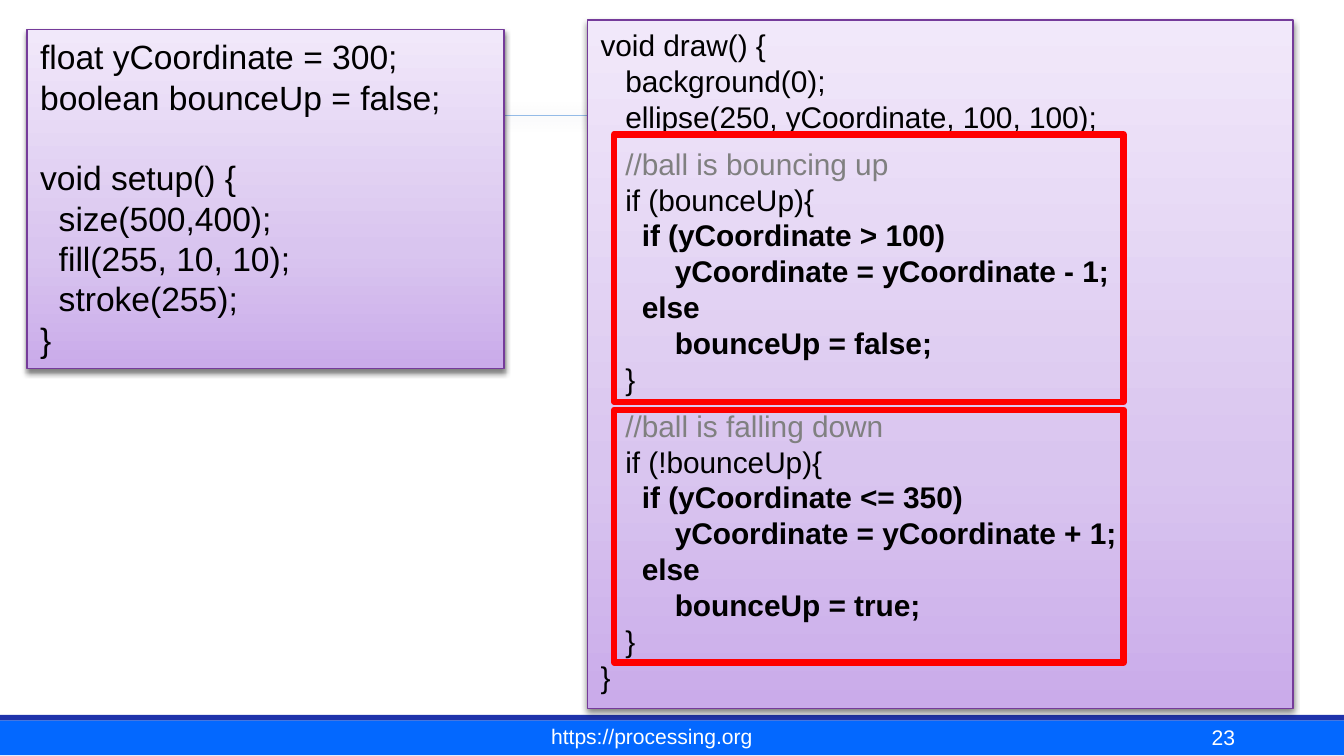
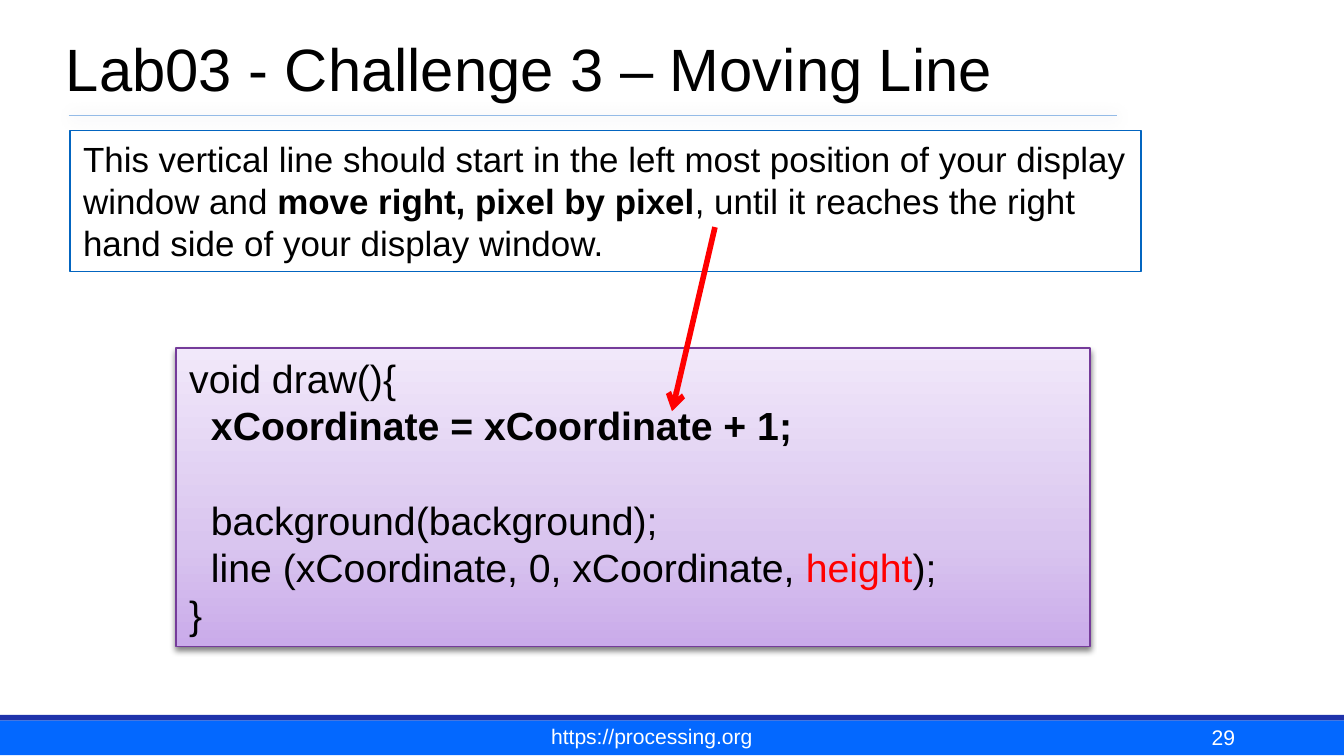
from copy import deepcopy

from lxml.etree import SubElement
from pptx import Presentation
from pptx.dml.color import RGBColor
from pptx.enum.shapes import MSO_CONNECTOR, MSO_SHAPE
from pptx.enum.text import MSO_ANCHOR, MSO_AUTO_SIZE, PP_ALIGN
from pptx.oxml.ns import qn
from pptx.util import Inches, Pt

COLORS = {
    "text": "000000", "comment": "808080", "accent": "FF0000", "white": "FFFFFF",
    "band": "0368FF", "band_edge": "1F33AB", "rule": "94BBE7", "rule_shadow": "003D62",
    "code_dark": "CAABEA", "code_mid": "D9C5EF", "code_light": "F1E8FA",
    "code_border": "753B9A", "task_border": "0365C0",
}
FONT = "Arial"
LINE_PITCH = 1.2

# Shadows: colour, opacity %, blur pt, distance pt, direction in degrees
CODE_SHADOW = ("text", 50, 3, 2, 90)
RULE_SHADOW = ("rule_shadow", 20, 8, 1, 45)

# A number in a listing is the type size of a blank line before the next line
SETUP_CODE = [
    "float yCoordinate = 300;",
    "boolean bounceUp = false;",
    18,
    "void setup() {",
    "  size(500,400);",
    "  fill(255, 10, 10);",
    "  stroke(255);",
    "}",
]
BOUNCE_CODE = [
    "void draw() {",
    "   background(0);",
    "   ellipse(250, yCoordinate, 100, 100);",
    5,
    [("   //ball is bouncing up", "comment")],
    "   if (bounceUp){",
    [("     if (yCoordinate > 100)", "bold")],
    [("         yCoordinate = yCoordinate - 1;", "bold")],
    [("     else", "bold")],
    [("         bounceUp = false;", "bold")],
    "   }",
    5,
    [("   //ball is falling down", "comment")],
    "   if (!bounceUp){",
    [("     ", None), ("if (yCoordinate <= 350)", "bold")],
    [("         yCoordinate = yCoordinate + 1;", "bold")],
    [("     else", "bold")],
    [("         bounceUp = true;", "bold")],
    "   }",
    "}",
]
LINE_CODE = [
    "void draw(){",
    [(" ", None), (" xCoordinate = xCoordinate + 1;", "bold")],
    21,
    "  background(background);",
    [("  line (xCoordinate, 0, xCoordinate, ", None), ("height", "accent"), (");", None)],
    "}",
]
TASK = [[
    ("This vertical line should start in the left most position of your display window and ", None),
    ("move right, pixel by pixel", "bold"),
    (", until it reaches the right hand side of your display window.", None),
]]


def rgb(name):
    return RGBColor.from_string(COLORS[name])


def set_effects(shape, shadow=None):
    """Replace the theme shadow; call after fill and line are set."""
    effects = SubElement(shape.element.spPr, qn("a:effectLst"))
    if shadow:
        color, opacity, blur, distance, angle = shadow
        outer = SubElement(effects, qn("a:outerShdw"), blurRad=str(Pt(blur)),
                           dist=str(Pt(distance)), dir=str(angle * 60000), rotWithShape="0")
        tint = SubElement(outer, qn("a:srgbClr"), val=COLORS[color])
        SubElement(tint, qn("a:alpha"), val=str(opacity * 1000))


def set_font(paragraph, size, color="text"):
    paragraph.font.name = FONT
    paragraph.font.size = Pt(size)
    paragraph.font.color.rgb = rgb(color)


def style_font(font, style):
    if style == "bold":
        font.bold = True
    elif style:
        font.color.rgb = rgb(style)


def write_lines(shape, lines, size):
    frame = shape.text_frame
    frame.word_wrap = True
    frame.vertical_anchor = MSO_ANCHOR.TOP
    frame.margin_right = Inches(0.05)
    paragraph, gap = frame.paragraphs[0], 0
    for number, line in enumerate(lines):
        if isinstance(line, int):
            gap = line * LINE_PITCH
            continue
        if number:
            paragraph = frame.add_paragraph()
        paragraph.alignment = PP_ALIGN.LEFT
        paragraph.line_spacing = Pt(size * LINE_PITCH)
        if gap:
            paragraph.space_before, gap = Pt(gap), 0
        set_font(paragraph, size)
        parts = [(line, None)] if isinstance(line, str) else line
        for text, style in parts:
            run = paragraph.add_run()
            run.text = text
            style_font(paragraph.font if len(parts) == 1 else run.font, style)


def add_box(slide, at, fill=None, border=None, width=0.75, shadow=None):
    box = slide.shapes.add_shape(MSO_SHAPE.RECTANGLE, *map(Inches, at))
    if fill:
        box.fill.solid()
        box.fill.fore_color.rgb = rgb(fill)
    else:
        box.fill.background()
    if border:
        box.line.color.rgb = rgb(border)
        box.line.width = Pt(width)
    else:
        box.line.fill.background()
    set_effects(box, shadow)
    return box


def add_code(slide, at, lines, size):
    box = add_box(slide, at, border="code_border", shadow=CODE_SHADOW)
    box.fill.gradient()
    box.fill.gradient_angle = 90
    stop_list = box.element.spPr.find(".//" + qn("a:gsLst"))
    stop_list.insert(1, deepcopy(stop_list[0]))
    shades = [("code_dark", 0), ("code_mid", 0.35), ("code_light", 1)]
    for stop, (color, position) in zip(box.fill.gradient_stops, shades):
        stop.color.rgb = rgb(color)
        stop.position = position
    write_lines(box, lines, size)


def add_line(slide, start, end, color, width, shadow=None, arrow=False):
    line = slide.shapes.add_connector(MSO_CONNECTOR.STRAIGHT, *map(Inches, start + end))
    line.line.color.rgb = rgb(color)
    line.line.width = Pt(width)
    if arrow:
        outline = line.element.spPr.find(qn("a:ln"))
        SubElement(outline, qn("a:tailEnd"), type="arrow")
    set_effects(line, shadow)
    return line


def set_frame(frame, side, edge):
    frame.word_wrap = True
    frame.auto_size = MSO_AUTO_SIZE.NONE
    frame.vertical_anchor = MSO_ANCHOR.BOTTOM
    frame.margin_left = frame.margin_right = Inches(side)
    frame.margin_top = frame.margin_bottom = Inches(edge)


def add_footer_text(slide, at, text, alignment, side, edge):
    frame = slide.shapes.add_textbox(*map(Inches, at)).text_frame
    set_frame(frame, side, edge)
    paragraph = frame.paragraphs[0]
    paragraph.text = text
    paragraph.alignment = alignment
    set_font(paragraph, 11.25, "white")


def add_footer(slide, number):
    add_footer_text(slide, (3.52, 5.35, 2.66, 0.26), "https://processing.org",
                    PP_ALIGN.CENTER, 0.08, 0.04)
    add_footer_text(slide, (7.17, 5.33, 2.08, 0.31), str(number), PP_ALIGN.RIGHT, 0.06, 0.06)


def set_title(slide, text):
    title = slide.shapes.title
    title.left, title.top, title.width, title.height = map(Inches, (0.43, 0, 8.5, 0.83))
    set_frame(title.text_frame, 0.06, 0.06)
    paragraph = title.text_frame.paragraphs[0]
    paragraph.text = text
    paragraph.alignment = PP_ALIGN.LEFT
    set_font(paragraph, 32)


def move_to_master(prs, parts):
    """Put shared parts behind everything on the slide master."""
    tree = prs.slide_master.shapes.element
    for index, part in enumerate(parts, start=2):
        tree.insert(index, part.element)


def build_bounce_slide(prs):
    slide = prs.slides.add_slide(prs.slide_layouts[6])
    # Bands and title rule, shared by all slides
    move_to_master(prs, [
        add_box(slide, (0, 5.36, 10, 0.26), "band"),
        add_box(slide, (0, 5.32, 10, 0.04), "band_edge"),
        add_line(slide, (0.51, 0.86), (8.31, 0.86), "rule", 1, RULE_SHADOW),
    ])
    # Code listings
    add_code(slide, (0.2, 0.22, 3.55, 2.52), SETUP_CODE, 18)
    add_code(slide, (4.37, 0.15, 5.25, 5.12), BOUNCE_CODE, 16)
    # Frames around the two branches
    for top, height in ((1, 1.99), (3.05, 1.88)):
        add_box(slide, (4.57, top, 3.79, height), border="accent", width=3.5)
    add_footer(slide, 23)


def build_line_slide(prs):
    slide = prs.slides.add_slide(prs.slide_layouts[5])
    add_code(slide, (1.31, 2.59, 6.8, 2.22), LINE_CODE, 21)
    set_title(slide, "Lab03 - Challenge 3 – Moving Line")
    # Task and the statement that solves it
    task = add_box(slide, (0.52, 0.97, 7.97, 1.05), border="task_border")
    write_lines(task, TASK, 18.75)
    add_line(slide, (5.32, 1.69), (5, 3.06), "accent", 3, arrow=True)
    add_footer(slide, 29)


def main():
    prs = Presentation()
    prs.slide_width = Inches(10)
    prs.slide_height = prs.slide_width * 9 // 16
    build_bounce_slide(prs)
    build_line_slide(prs)
    prs.save("out.pptx")


if __name__ == "__main__":
    main()
